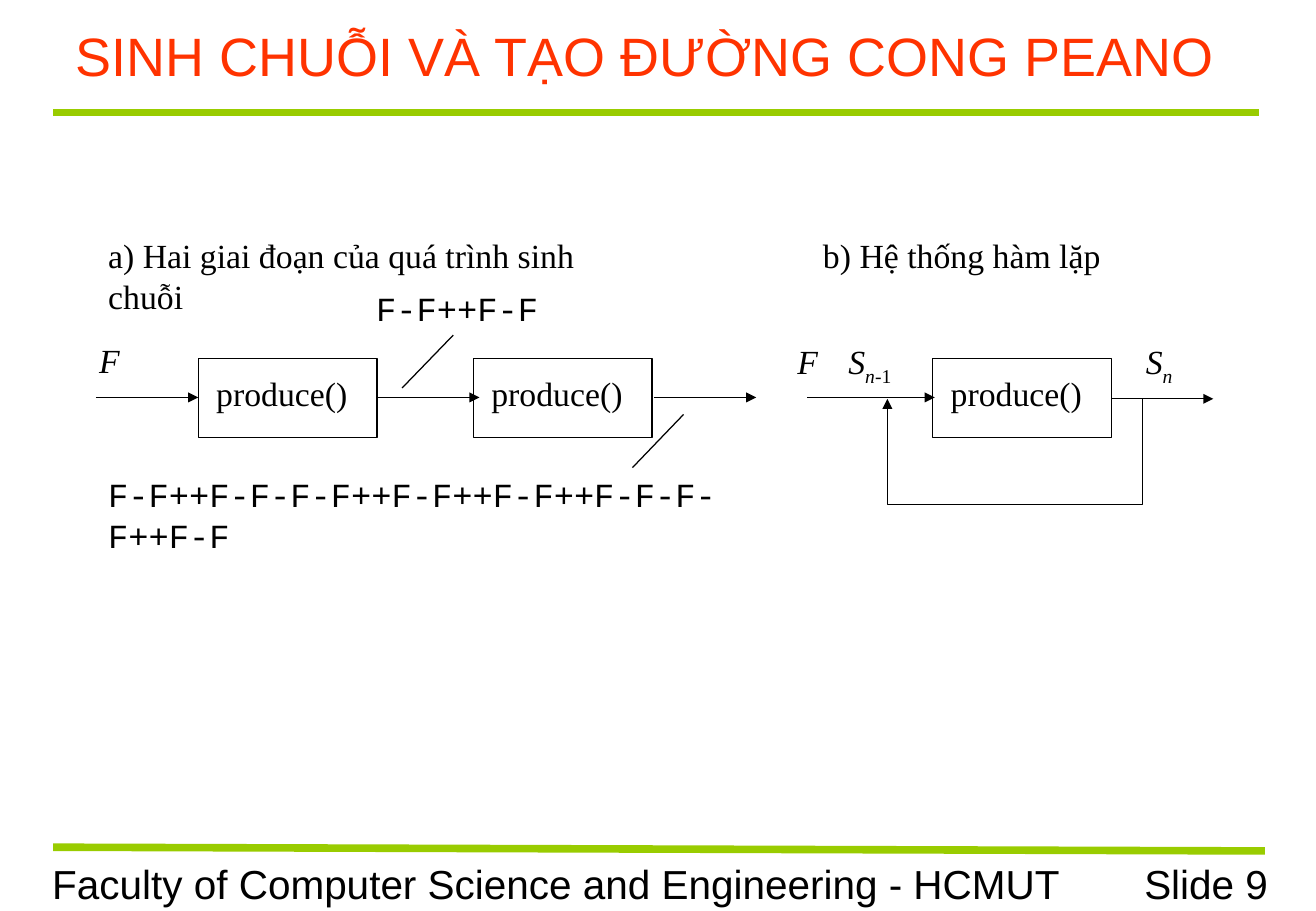
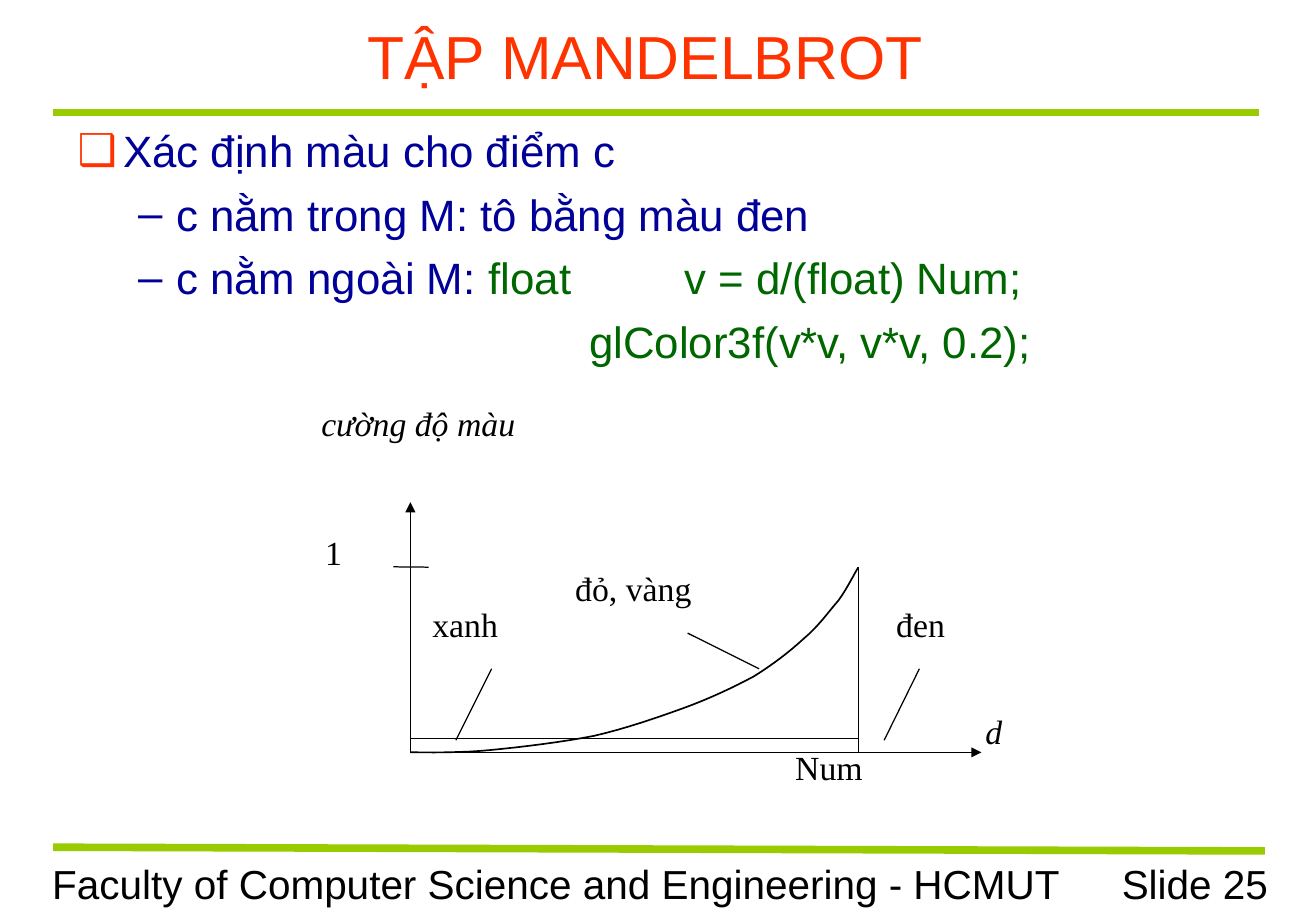
"""Build two fractal slides: string production and Mandelbrot colouring."""
from lxml.etree import SubElement
from pptx import Presentation
from pptx.dml.color import RGBColor
from pptx.enum.shapes import MSO_CONNECTOR as Link, MSO_SHAPE as Kind
from pptx.enum.text import MSO_ANCHOR as Anchor, PP_ALIGN as Align
from pptx.oxml.ns import qn
from pptx.util import Pt

BLACK = RGBColor(0x00, 0x00, 0x00)
WHITE = RGBColor(0xFF, 0xFF, 0xFF)
RED = RGBColor(0xFF, 0x33, 0x00)
LIME = RGBColor(0x99, 0xCC, 0x00)
NAVY = RGBColor(0x00, 0x00, 0x99)
GREEN = RGBColor(0x00, 0x66, 0x00)
SANS, SERIF, MONO = "Arial", "Times New Roman", "Courier New"
FLOW, LOOP = 235.6, 236.4
BOX_W, BOX_H = 106, 47
AXIS_X, AXIS_Y = 243.4, 446
NUM_X, ONE_Y = 509, 336.4
CURVE = [
    (AXIS_X, AXIS_Y),
    (251.3, 446), (274.3, 446.5), (292.3, 444.5),
    (310.3, 442.8), (333.4, 439.9), (352.1, 436.3),
    (370.8, 432), (389.5, 425.5), (405.4, 419.8),
    (421.2, 414), (434.9, 407.5), (447.1, 401),
    (458.6, 393.8), (468, 386.6), (476.6, 378.7),
    (485.3, 371.5), (491.8, 362.2), (497.5, 355.7),
    (502.6, 348.5), (506.9, 339.8), (NUM_X, ONE_Y),
]


def style(para, size, face, color):
    """Set the font of a whole paragraph."""
    font = para.font
    font.size, font.name = Pt(size), face
    font.color.rgb = color


def text(slide, words, x, y, w, h, size=20, face=SERIF, color=BLACK,
         align=Align.LEFT, italic=None, sub="", tail=""):
    """Add a text box, with an optional subscript and upright tail."""
    box = slide.shapes.add_textbox(Pt(x), Pt(y), Pt(w), Pt(h))
    frame = box.text_frame
    frame.word_wrap = True
    para = frame.paragraphs[0]
    para.alignment = align
    para.add_run().text = words
    style(para, size, face, color)
    para.font.italic = italic
    for part, slant in ((sub, italic), (tail, False)):
        if part:
            run = para.add_run()
            run.text = part
            run.font.italic = slant
            run._r.get_or_add_rPr().set("baseline", "-25000")
    return frame


def stroke(shape, color=BLACK, width=0.75, arrow=False):
    """Style an outline and add an arrowhead on request."""
    shape.line.color.rgb = color
    shape.line.width = Pt(width)
    if arrow:
        SubElement(shape.line._get_or_add_ln(), qn("a:tailEnd"), type="triangle")


def line(slide, x1, y1, x2, y2, **look):
    """Add a straight line without shadow."""
    link = slide.shapes.add_connector(Link.STRAIGHT, Pt(x1), Pt(y1), Pt(x2), Pt(y2))
    stroke(link, **look)
    SubElement(link._element.spPr, qn("a:effectLst"))


def trace(slide, points, **look):
    """Add an open outline through the points."""
    first, *rest = [(Pt(x), Pt(y)) for x, y in points]
    pen = slide.shapes.build_freeform(*first)
    pen.add_line_segments(rest, close=False)
    shape = pen.convert_to_shape()
    shape.shadow.inherit = False
    shape.fill.background()
    stroke(shape, **look)


def smooth(knots, steps=8):
    """Return points along a chain of cubic curves."""
    points = knots[:1]
    for i in range(0, len(knots) - 1, 3):
        a, b, c, d = knots[i:i + 4]
        for k in range(1, steps + 1):
            t = k / steps
            u = 1 - t
            points.append(tuple(
                u**3 * p + 3 * u * u * t * q + 3 * u * t * t * r + t**3 * s
                for p, q, r, s in zip(a, b, c, d)))
    return points


def produce(slide, x):
    """Add a produce() box on the flow line."""
    box = slide.shapes.add_shape(Kind.RECTANGLE, Pt(x), Pt(212.6), Pt(BOX_W), Pt(BOX_H))
    box.shadow.inherit = False
    box.fill.solid()
    box.fill.fore_color.rgb = WHITE
    stroke(box)
    frame = box.text_frame
    frame.vertical_anchor = Anchor.TOP
    frame.margin_left, frame.margin_top = Pt(10.6), Pt(8.4)
    para = frame.paragraphs[0]
    para.text = "produce()"
    para.alignment = Align.LEFT
    style(para, 20, SERIF, BLACK)


def bullet(para, left, hang, mark=None, color=NAVY):
    """Indent a paragraph and give it a mark and tab stops."""
    props = para._p.get_or_add_pPr()
    props.set("marL", str(Pt(left)))
    props.set("indent", str(Pt(-hang)))
    props.set("defTabSz", str(Pt(72)))
    if mark:
        tint = SubElement(props, qn("a:buClr"))
        SubElement(tint, qn("a:srgbClr"), val=str(color))
        SubElement(props, qn("a:buFont"), typeface=SANS)
        SubElement(props, qn("a:buChar"), char=mark)
        tabs = SubElement(props, qn("a:tabLst"))
        for n in range(1, 9):
            SubElement(tabs, qn("a:tab"), pos=str(Pt(72 * n)), algn="l")


def start(deck, title, size, number):
    """Add a slide with its title, bars and footer."""
    slide = deck.slides.add_slide(deck.slide_layouts[6])
    line(slide, 31.5, 66.7, 746.6, 66.7, color=LIME, width=4.5)
    line(slide, 31.5, 502.2, 750.2, 504.4, color=LIME, width=4.5)
    text(slide, "Faculty of Computer Science and Engineering - HCMUT",
         23.9, 505.4, 613.4, 36, 24, SANS)
    text(slide, f"Slide {number}", 615.8, 505.4, 143.3, 36, 24, SANS, align=Align.RIGHT)
    head = text(slide, title, 24, 7.5, 717.2, 50.4, size, SANS, RED, Align.CENTER)
    head.vertical_anchor = Anchor.MIDDLE
    return slide


def peano(deck):
    """Build the string production slide."""
    slide = start(deck, "SINH CHUỖI VÀ TẠO ĐƯỜNG CONG PEANO", 32, 9)
    for x in (117.6, 280.8, 553.2):
        produce(slide, x)
    for x, end, y in ((56.9, 117.6, FLOW), (223.9, 284.4, FLOW), (388, 448.5, FLOW),
                      (478.8, 554.4, FLOW), (659, 719.6, LOOP)):
        line(slide, x, y, end, y, arrow=True)
    trace(slide, [(677.5, LOOP), (677.5, 299.2), (526.3, 299.2), (526.3, LOOP)],
          arrow=True)
    text(slide, "a) Hai giai đoạn của quá trình sinh chuỗi", 57.1, 135.7, 332.6, BOX_H)
    text(slide, "b) Hệ thống hàm lặp", 481, 135.7, 226.8, BOX_H)
    text(slide, "F", 51.8, 197.7, 45.4, BOX_H, italic=True)
    text(slide, "F", 465.8, 198.6, 45.4, BOX_H, italic=True)
    text(slide, "S", 496.1, 198.6, 60.5, BOX_H, italic=True, sub="n-", tail="1")
    text(slide, "S", 672.5, 198.6, 45.4, BOX_H, italic=True, sub="n")
    text(slide, "F-F++F-F", 216, 167, 121, 31.7, face=MONO)
    text(slide, "F-F++F-F-F-F++F-F++F-F++F-F-F-F++F-F", 57.1, 277.4, 393.1, 31.7, face=MONO)
    line(slide, 268.8, 198.7, 238.5, 230)
    line(slide, 405.4, 245.7, 375.1, 277.2)


def body(slide):
    """Add the colouring rules."""
    frame = slide.shapes.add_textbox(Pt(38.9), Pt(69.8), Pt(702), Pt(152.6)).text_frame
    frame.word_wrap = True
    rows = [
        ("Xác định màu cho điểm c", "", NAVY, (27, 27, "❑", RED)),
        ("c nằm trong M: tô bằng màu đen", "", NAVY, (58.5, 22.5, "–")),
        ("c nằm ngoài M: ", "float\tv = d/(float) Num;", NAVY, (58.5, 22.5, "–")),
        ("glColor3f(v*v, v*v, 0.2);", "", GREEN, (303.4, 0)),
    ]
    for i, (words, code, color, form) in enumerate(rows):
        para = frame.add_paragraph() if i else frame.paragraphs[0]
        para.space_before = Pt(6.5 if i else 0)
        bullet(para, *form)
        para.add_run().text = words
        style(para, 26, SANS, color)
        if code:
            run = para.add_run()
            run.text = code
            run.font.color.rgb = GREEN


def mandel(deck):
    """Build the Mandelbrot colouring slide."""
    slide = start(deck, "TẬP MANDELBROT", 36, 25)
    body(slide)
    line(slide, AXIS_X, AXIS_Y, 582, AXIS_Y, arrow=True)
    line(slide, AXIS_X, AXIS_Y, AXIS_X, 297.7, arrow=True)
    line(slide, AXIS_X, 437.8, NUM_X, 437.8)
    line(slide, NUM_X, AXIS_Y, NUM_X, ONE_Y)
    trace(slide, smooth(CURVE), width=1)
    line(slide, 233.3, 336, 254.2, 336.2)
    text(slide, "d", 577.4, 417.9, 42.5, 42.5, italic=True)
    text(slide, "cường độ màu", 174, 235.4, 148.3, 85, align=Align.CENTER, italic=True)
    text(slide, "1", 185.8, 311.8, 42.5, 42.5)
    text(slide, "Num", 464.5, 439, BOX_W, 42.5)
    text(slide, "đen", 524.4, 354.5, BOX_W, 42.5)
    text(slide, "xanh", 249.3, 354.5, BOX_W, 42.5)
    text(slide, "đỏ, vàng", 334.1, 333, 126.7, 63.4)
    line(slide, 545.3, 396.4, 524.4, 438.8)
    line(slide, 291.6, 396.4, 270.4, 438.8)
    line(slide, 407.8, 375.3, 450.2, 396.4)


def main():
    """Build and save the deck."""
    deck = Presentation()
    deck.slide_width, deck.slide_height = Pt(780.48), Pt(540)
    peano(deck)
    mandel(deck)
    deck.save("out.pptx")


if __name__ == "__main__":
    main()
